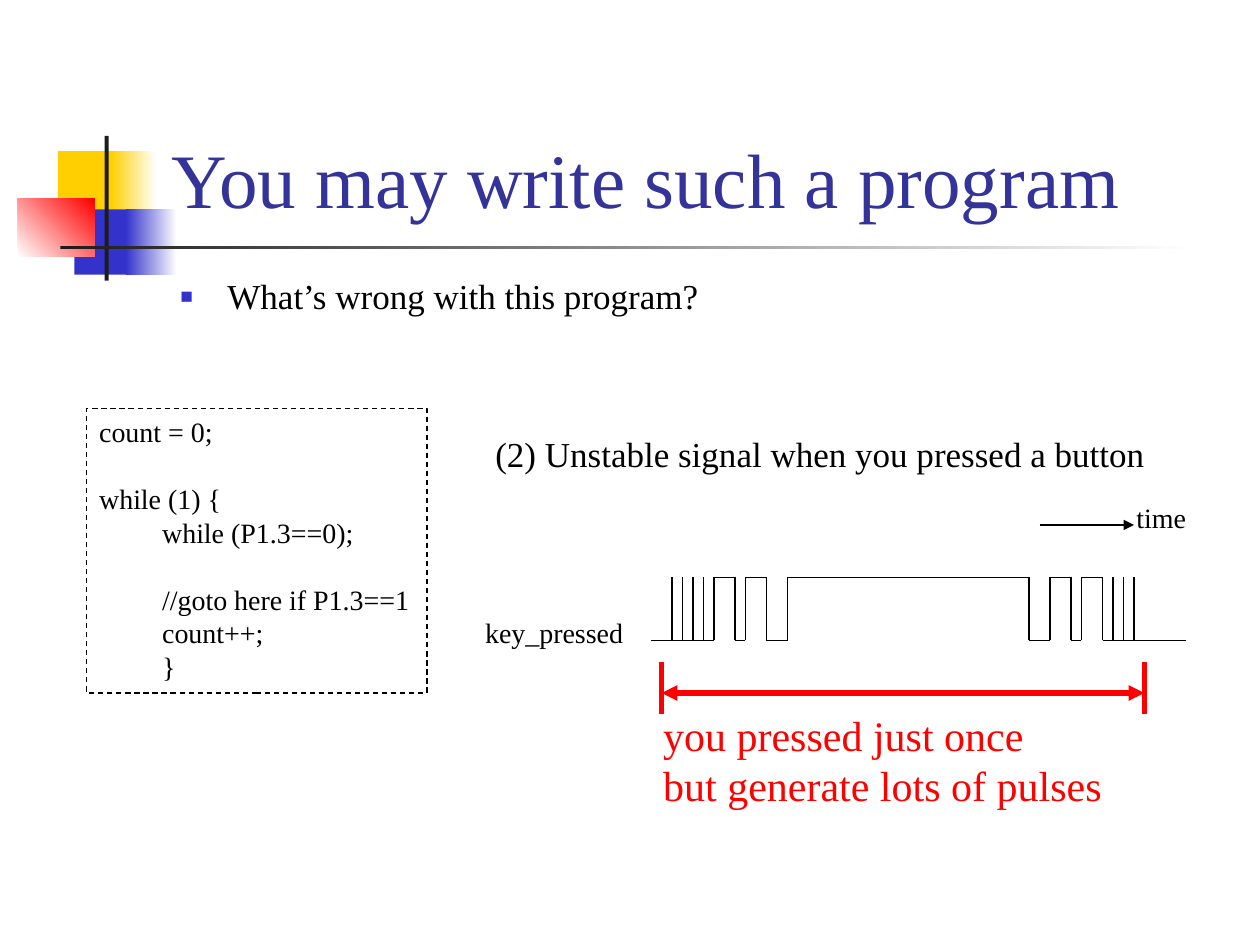
from dataclasses import dataclass
from itertools import pairwise

from lxml.etree import SubElement as Sub
from pptx import Presentation as Deck
from pptx.dml.color import RGBColor as Rgb
from pptx.enum.dml import MSO_LINE as Dash
from pptx.enum.shapes import MSO_CONNECTOR as Link, MSO_SHAPE as Form
from pptx.enum.text import MSO_ANCHOR as Anchor, MSO_AUTO_SIZE as Auto, PP_ALIGN as Align
from pptx.oxml.ns import qn
from pptx.util import Cm, Pt


@dataclass(frozen=True)
class Theme:
    font: str = "Times New Roman"
    ink: str = "000000"
    head: str = "333399"
    blue: str = "3333CC"
    gold: str = "FFCF01"
    red: str = "FF0000"
    dark: str = "1C1C1C"
    white: str = "FFFFFF"
    title: int = 44
    body: int = 20
    note: int = 24
    code: int = 16


look = Theme()
deck = Deck()
deck.slide_width, deck.slide_height = Cm(25.4), Cm(19.05)
slide = deck.slides.add_slide(deck.slide_layouts[3])
shapes = slide.shapes
unit = Cm(2.54) // 12


def put(shape, lines, size, tint=look.ink, anchor=Anchor.TOP, wrap=True, space=None, gap=0):
    frame = shape.text_frame
    frame.text = "\n".join(lines)
    frame.auto_size = Auto.NONE
    frame.word_wrap = wrap
    frame.vertical_anchor = anchor
    for par in frame.paragraphs:
        par.alignment = Align.LEFT
        par.line_spacing = space
        par.space_before = Pt(gap)
        for run in par.runs:
            run.font.name = look.font
            run.font.size = Pt(size)
            run.font.color.rgb = Rgb.from_string(tint)
    return frame.paragraphs


def draw(start, end, tint=look.ink, width=0.75, tips=()):
    line = shapes.add_connector(Link.STRAIGHT, *(n * unit for n in (*start, *end)))
    line.line.color.rgb = Rgb.from_string(tint)
    line.line.width = Pt(width)
    props = line.element.spPr
    for tip in tips:
        Sub(props.find(qn("a:ln")), qn(f"a:{tip}"), type="triangle")
    Sub(props, qn("a:effectLst"))


decor = [
    (1.17, 3.05, 1.22, 1.32, look.gold, None, 0),
    (2.24, 3.05, 0.91, 1.32, look.gold, look.white, 0),
    (1.5, 4.22, 1.17, 1.32, look.blue, None, 0),
    (2.54, 4.22, 1.02, 1.32, look.blue, look.white, 0),
    (0.36, 4.01, 1.55, 1.17, look.white, look.red, 45),
    (2.11, 2.74, 0.08, 2.92, look.dark, None, 0),
    (1.22, 4.95, 22.86, 0.08, look.dark, look.white, 0),
]
for *place, first, last, turn in decor:
    block = shapes.add_shape(Form.RECTANGLE, *map(Cm, place))
    block.shadow.inherit = False
    block.line.fill.background()
    if last:
        block.fill.gradient()
        block.fill.gradient_angle = turn
        for stop, tint in zip(block.fill.gradient_stops, (first, last)):
            stop.color.rgb = Rgb.from_string(tint)
    else:
        block.fill.solid()
        block.fill.fore_color.rgb = Rgb.from_string(first)

title, ask, cause = slide.placeholders
for holder, place in (
    (title, (3.2, 0.58, 21.64, 4.06)),
    (ask, (3.38, 5.51, 20.62, 1.6)),
    (cause, (9.73, 8.69, 15.04, 1.47)),
):
    holder.left, holder.top, holder.width, holder.height = map(Cm, place)
    shapes.element.append(holder.element)

put(title, ["You may write such a program"], look.title, look.head, Anchor.BOTTOM)
for holder, text, dent, mark in (
    (ask, "What’s wrong with this program?", 0.95, "■"),
    (cause, "(2) Unstable signal when you pressed a button", 1.48, None),
):
    par = put(holder, [text], look.body, space=0.9, gap=4)[0]
    props = par._p.get_or_add_pPr()
    props.set("marL", str(Cm(dent)))
    props.set("indent", str(-Cm(dent)))
    if mark:
        Sub(Sub(props, qn("a:buClr")), qn("a:srgbClr"), val=look.blue)
        Sub(props, qn("a:buSzPct"), val="60000")
        Sub(props, qn("a:buFont"), typeface=look.font)
        Sub(props, qn("a:buChar"), char=mark)
    else:
        Sub(props, qn("a:buNone"))

draw((99, 50), (108, 50), tips=["tailEnd"])

high, low = 55, 61
steps = [62, 68, 70, 71, 73, 75, 98, 100, 102, 103, 105, 113]
level = low
for left, right in pairwise(steps):
    draw((left, level), (right, level))
    if right != steps[-1]:
        draw((right, low), (right, high))
    level = high + low - level
for spike in (64, 65, 66, 67, 106, 107, 108):
    draw((spike, low), (spike, high))

for edge in (63, 109):
    draw((edge, 63), (edge, 68), look.red, 3)
draw((63, 66), (109, 66), look.red, 3, ["headEnd", "tailEnd"])

for place, lines, size, tint in (
    ((22.66, 9.96, 1.52, 0.94), ["time"], look.code, look.ink),
    ((9.53, 12.28, 3.3, 0.94), ["key_pressed"], look.code, look.ink),
    ((13.12, 14.18, 9.35, 2.29),
     ["you pressed just once", "but generate lots of pulses"], look.note, look.red),
):
    put(shapes.add_textbox(*map(Cm, place)), lines, size, tint, wrap=False)

code = [
    ("count = 0;", 0, 0),
    ("while (1) {", 0, 1),
    ("while (P1.3==0);", 1, 0),
    ("//goto here if P1.3==1", 1, 1),
    ("count++;", 1, 0),
    ("}", 1, 0),
]
box = shapes.add_shape(Form.RECTANGLE, *map(Cm, (1.75, 8.23, 6.86, 5.74)))
box.shadow.inherit = False
box.fill.background()
box.line.color.rgb = Rgb.from_string(look.ink)
box.line.width = Pt(0.75)
box.line.dash_style = Dash.DASH
pars = put(box, [text for text, *rest in code], look.code)
for par, (text, depth, skip) in zip(pars, code):
    par.level = depth
    par._p.get_or_add_pPr().set("marL", str(depth * Cm(1.27)))
    par.space_before = Pt(19.2 * skip)

deck.save("out.pptx")
